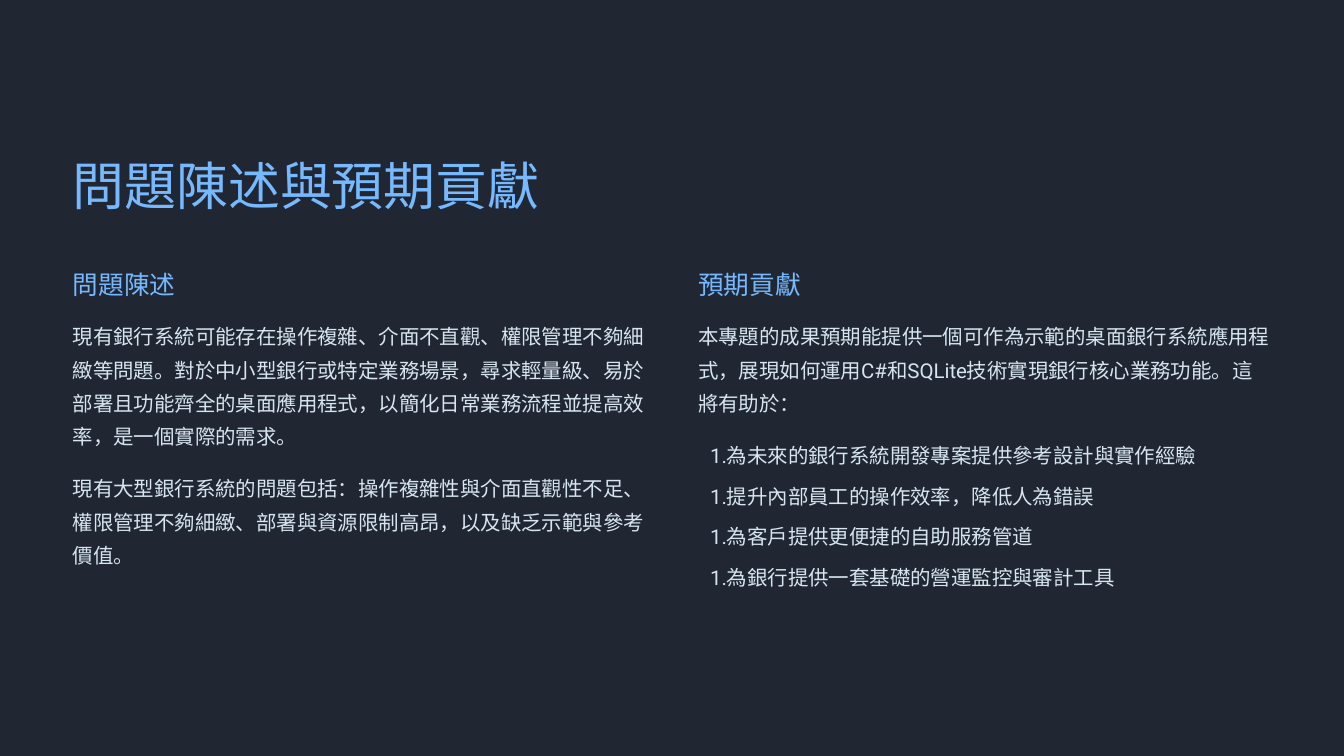
import pptx
import pptx.dml.color
import pptx.enum.shapes
import pptx.oxml
import pptx.oxml.ns
import pptx.util

Cm, Pt = pptx.util.Cm, pptx.util.Pt

TITLE = "問題陳述與預期貢獻"
COLUMNS = [
    {
        "head": "問題陳述",
        # text, number of lines it fills
        "body": [
            ("現有銀行系統可能存在操作複雜、介面不直觀、權限管理不夠細緻等問題。"
             "對於中小型銀行或特定業務場景，尋求輕量級、易於部署且功能齊全的桌面應用程式，"
             "以簡化日常業務流程並提高效率，是一個實際的需求。", 4),
            ("現有大型銀行系統的問題包括：操作複雜性與介面直觀性不足、"
             "權限管理不夠細緻、部署與資源限制高昂，以及缺乏示範與參考價值。", 3),
        ],
        "items": [],
    },
    {
        "head": "預期貢獻",
        "body": [
            ("本專題的成果預期能提供一個可作為示範的桌面銀行系統應用程式，"
             "展現如何運用C#和SQLite技術實現銀行核心業務功能。這將有助於：", 3),
        ],
        "items": [
            "為未來的銀行系統開發專案提供參考設計與實作經驗",
            "提升內部員工的操作效率，降低人為錯誤",
            "為客戶提供更便捷的自助服務管道",
            "為銀行提供一套基礎的營運監控與審計工具",
        ],
    },
]

# style: font, size, line spacing, colour
THEME = {
    "back": "000000",
    "panel": "202733",
    "title": ("Roboto Slab", 55.6, 69.4, "76B9FF"),
    "head": ("Roboto Slab", 27.5, 34.4, "76B9FF"),
    "body": ("Roboto", 21.85, 35.6, "D6E5EF"),
}

# All lengths below are in centimetres
PAGE = (50.8, 28.58)
LEFT, STEP, WIDTH = 2.75, 23.64, 21.7
TITLE_TOP, HEAD_TOP, BODY_TOP = 5.71, 10.13, 11.94
LINE, SLACK, GAP, PITCH = 1.26, 0.27, 0.43, 1.54
INDENT, HANG = 0.91, -0.46


def color(code):
    return pptx.dml.color.RGBColor.from_string(code)


def paint(fill, code):
    fill.solid()
    fill.fore_color.rgb = color(code)


def add_panel(slide):
    kind = pptx.enum.shapes.MSO_SHAPE.RECTANGLE
    panel = slide.shapes.add_shape(kind, 0, 0, *map(Cm, PAGE))
    panel.shadow.inherit = False
    panel.line.fill.background()
    paint(panel.fill, THEME["panel"])


def add_text(slide, text, style, left, top, width, height):
    font, size, line, tint = THEME[style]
    box = slide.shapes.add_textbox(Cm(left), Cm(top), Cm(width), Cm(height))
    frame = box.text_frame
    frame.word_wrap = True
    frame.margin_left = frame.margin_right = 0
    frame.margin_top = frame.margin_bottom = 0
    para = frame.paragraphs[0]
    para.line_spacing = Pt(line)
    run = para.add_run()
    run.text = text
    run.font.name = font
    run.font.size = Pt(size)
    run.font.color.rgb = color(tint)
    east = pptx.oxml.parse_xml(
        f'<a:ea {pptx.oxml.ns.nsdecls("a")} typeface="{font}"/>')
    run.font._element.append(east)
    return para


def number(para):
    """Give the paragraph a hanging automatic number."""
    para.level = 1
    props = para._p.get_or_add_pPr()
    props.set("marL", str(Cm(INDENT)))
    props.set("indent", str(Cm(HANG)))
    props.append(pptx.oxml.parse_xml(
        f'<a:buAutoNum {pptx.oxml.ns.nsdecls("a")} type="arabicPeriod"/>'))


def add_column(slide, column, left):
    add_text(slide, column["head"], "head", left, HEAD_TOP, 9.86, 1.3)
    top = BODY_TOP
    for text, lines in column["body"]:
        height = lines * LINE + SLACK
        add_text(slide, text, "body", left, top, WIDTH, height)
        top += height + GAP
    for text in column["items"]:
        number(add_text(slide, text, "body", left, top, WIDTH, LINE + SLACK))
        top += PITCH


def main():
    deck = pptx.Presentation()
    deck.slide_width, deck.slide_height = map(Cm, PAGE)
    slide = deck.slides.add_slide(deck.slide_layouts[6])
    paint(slide.background.fill, THEME["back"])
    add_panel(slide)

    add_text(slide, TITLE, "title", LEFT, TITLE_TOP, 19.69, 2.51)
    for i, column in enumerate(COLUMNS):
        add_column(slide, column, LEFT + i * STEP)
    deck.save("out.pptx")


if __name__ == "__main__":
    main()
